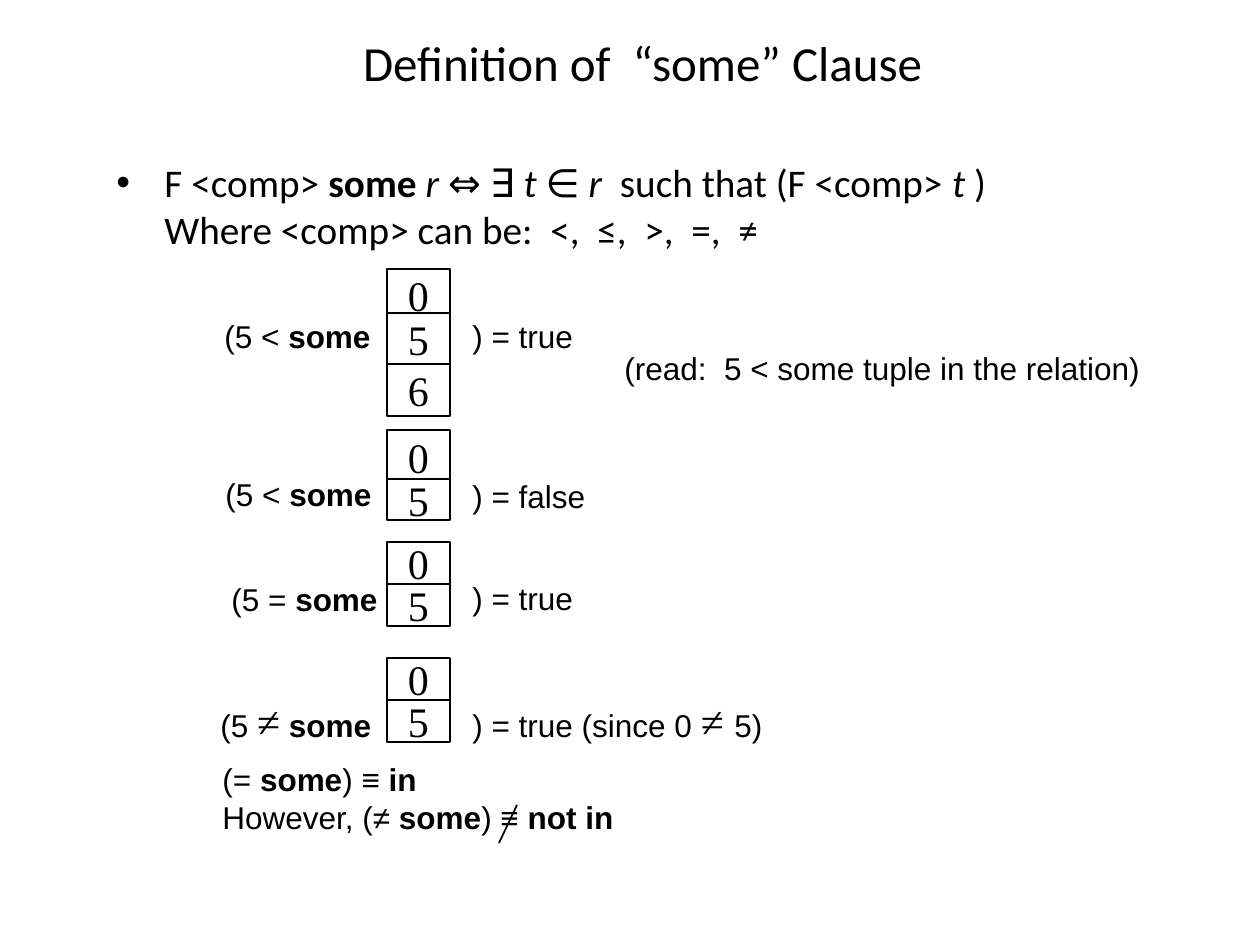
from dataclasses import dataclass

from lxml.etree import SubElement
from pptx import Presentation
from pptx.dml.color import RGBColor
from pptx.enum.shapes import MSO_CONNECTOR as Connector, MSO_SHAPE as Preset
from pptx.enum.text import MSO_ANCHOR as Anchor, PP_ALIGN as Align
from pptx.oxml.ns import qn
from pptx.util import Emu, Pt

PX_PER_INCH = 126
BLACK, WHITE = "000000", "FFFFFF"
SERIF = "Times New Roman"
CELL_LEFT, CELL_WIDTH, RESULT_LEFT = 387, 63, 460


@dataclass
class Span:
    text: str
    bold: bool = False
    italic: bool = False
    size: float | None = None
    font: str | None = None


@dataclass
class Cell:
    value: str
    top: int
    height: int


@dataclass
class Example:
    label: list[Span]
    label_left: int
    label_top: int
    cells: list[Cell]
    result: list[Span]
    result_top: int
    result_width: int
    height: int = 50


def px(length: int) -> Emu:
    return Emu(round(length * 914400 / PX_PER_INCH))


def color(code: str) -> RGBColor:
    return RGBColor.from_string(code)


def write(box, lines, *, size=18, font="Arial", align=Align.LEFT,
          anchor=Anchor.TOP, wrap=True, hang=0) -> None:
    frame = box.text_frame
    frame.word_wrap = wrap
    frame.vertical_anchor = anchor
    for index, spans in enumerate(lines):
        para = frame.add_paragraph() if index else frame.paragraphs[0]
        para.alignment = align
        if hang:
            props = para._p.get_or_add_pPr()
            props.set("marL", str(px(hang)))
            props.set("indent", str(-px(hang)))
            SubElement(props, qn("a:buFont"), typeface="Arial")
            SubElement(props, qn("a:buChar"), char="•")
        for span in spans:
            if span.text == "\n":
                para.add_line_break()
                continue
            run = para.add_run()
            run.text = span.text
            run.font.name = span.font or font
            run.font.size = Pt(span.size or size)
            run.font.bold = span.bold
            run.font.italic = span.italic
            run.font.color.rgb = color(BLACK)


def add_text(page, left: int, top: int, width: int, height: int, lines, **style) -> None:
    box = page.shapes.add_textbox(px(left), px(top), px(width), px(height))
    write(box, lines, **style)


def add_cell(page, cell: Cell) -> None:
    box = page.shapes.add_shape(Preset.RECTANGLE, px(CELL_LEFT), px(cell.top),
                                px(CELL_WIDTH), px(cell.height))
    box.shadow.inherit = False
    box.fill.solid()
    box.fill.fore_color.rgb = color(WHITE)
    box.line.color.rgb = color(BLACK)
    box.line.width = Pt(1)
    write(box, [[Span(cell.value)]], size=24, font=SERIF, align=Align.CENTER,
          anchor=Anchor.MIDDLE, wrap=False)


def add_example(page, example: Example) -> None:
    for cell in example.cells:
        add_cell(page, cell)
    add_text(page, example.label_left, example.label_top, 200, example.height, [example.label])
    add_text(page, RESULT_LEFT, example.result_top, example.result_width,
             example.height, [example.result])


def add_line(page, start: tuple[int, int], end: tuple[int, int]) -> None:
    line = page.shapes.add_connector(Connector.STRAIGHT, *map(px, start + end))
    line.line.color.rgb = color(BLACK)
    line.line.width = Pt(1)
    SubElement(line._element.spPr, qn("a:effectLst"))


SOME = Span("some", bold=True)
DEFINITION = [
    Span("F <comp> "), Span("some ", bold=True), Span("r ", italic=True), Span("⇔ ∃ "),
    Span("t ", italic=True), Span("∈"), Span(" r  ", italic=True),
    Span("such that (F <comp> "), Span("t ", italic=True), Span(")"), Span("\n"),
    Span("Where <comp> can be:  <,  ≤,  >,  =,  ≠"),
]
EXAMPLES = [
    Example([Span("(5 < "), SOME], 212, 311,
            [Cell("0", 269, 52), Cell("5", 313, 52), Cell("6", 364, 52)],
            [Span(") = true")], 311, 126),
    Example([Span("(5 < "), SOME], 213, 469,
            [Cell("0", 430, 53), Cell("5", 479, 41)],
            [Span(") = false")], 471, 168),
    Example([Span("(5 = "), SOME], 219, 574,
            [Cell("0", 542, 42), Cell("5", 584, 42)],
            [Span(") = true")], 573, 168),
    Example([Span("(5 "), Span("≠", size=24, font=SERIF), Span(" "), SOME], 208, 689,
            [Cell("0", 658, 42), Cell("5", 700, 42)],
            [Span(") = true (since 0 "), Span("≠ ", size=24, font=SERIF), Span("5)")],
            689, 347, 63),
]
EQUIVALENCES = [
    [Span("(= "), SOME, Span(") ≡ "), Span("in", bold=True)],
    [Span("However, (≠ "), SOME, Span(") ≡ "), Span("not in", bold=True)],
]


def main() -> None:
    """Build the slide that defines the "some" clause."""
    deck = Presentation()
    deck.slide_width, deck.slide_height = px(1260), px(945)
    page = deck.slides.add_slide(deck.slide_layouts[6])
    add_text(page, 86, 20, 1113, 84, [[Span("Definition of  “some” Clause")]],
             size=28, font="Calibri", align=Align.CENTER, anchor=Anchor.MIDDLE)
    add_text(page, 104, 152, 937, 98, [DEFINITION], size=22.4, font="Calibri", hang=48)
    for example in EXAMPLES:
        add_example(page, example)
    add_text(page, 612, 343, 640, 50, [[Span("(read:  5 < some tuple in the relation)")]])
    add_text(page, 210, 754, 937, 98, EQUIVALENCES)
    add_line(page, (517, 805), (499, 843))
    deck.save("out.pptx")


if __name__ == "__main__":
    main()
